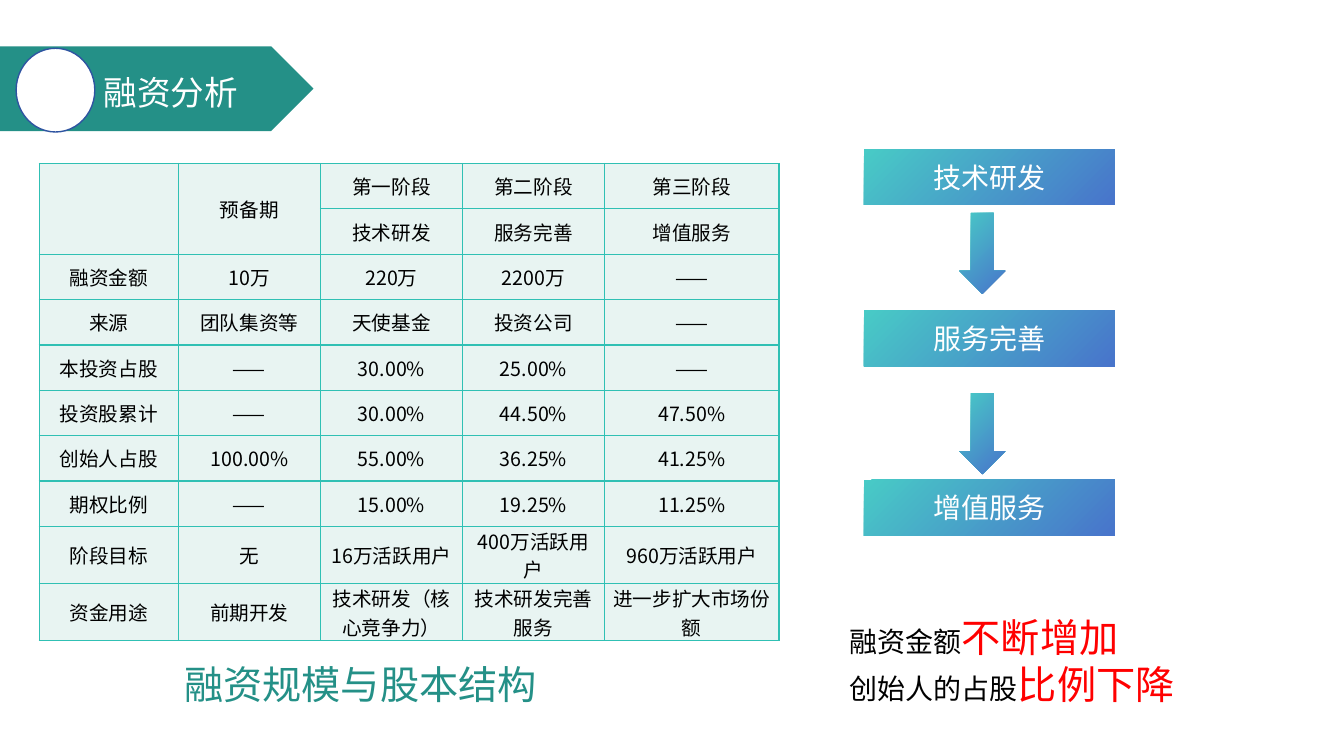
import pptx
import pptx.dml.color
import pptx.enum.shapes
import pptx.enum.text
import pptx.oxml
import pptx.oxml.ns
import pptx.util
from pptx.util import Pt

RGBColor = pptx.dml.color.RGBColor
SHAPES = pptx.enum.shapes.MSO_SHAPE
ALIGN = pptx.enum.text.PP_ALIGN
ANCHOR = pptx.enum.text.MSO_ANCHOR

FONT = "Noto Sans CJK JP"
WHITE = RGBColor(0xFF, 0xFF, 0xFF)
BLACK = RGBColor(0x00, 0x00, 0x00)
RED = RGBColor(0xFF, 0x00, 0x00)
GREEN = RGBColor(0x24, 0x90, 0x87)
PALE_GREEN = RGBColor(0xE8, 0xF4, 0xF2)
GRID_GREEN = RGBColor(0x30, 0xC0, 0xB4)
TEAL = RGBColor(0x48, 0xCB, 0xC6)
BLUE = RGBColor(0x48, 0x74, 0xCB)
NAVY = RGBColor(0x2E, 0x54, 0xA1)

TABLE_ROWS = [
    ["", "预备期", "第一阶段", "第二阶段", "第三阶段"],
    ["", "", "技术研发", "服务完善", "增值服务"],
    ["融资金额", "10万", "220万", "2200万", "——"],
    ["来源", "团队集资等", "天使基金", "投资公司", "——"],
    ["本投资占股", "——", "30.00%", "25.00%", "——"],
    ["投资股累计", "——", "30.00%", "44.50%", "47.50%"],
    ["创始人占股", "100.00%", "55.00%", "36.25%", "41.25%"],
    ["期权比例", "——", "15.00%", "19.25%", "11.25%"],
    ["阶段目标", "无", "16万活跃用户", "400万活跃用户", "960万活跃用户"],
    ["资金用途", "前期开发", "技术研发（核心竞争力）", "技术研发完善服务", "进一步扩大市场份额"],
]
COLUMN_WIDTHS = [99.4, 101.5, 101.5, 101.5, 124.6]
STAGES = [("技术研发", 0), ("服务完善", 115.2), ("增值服务", 236.2)]
ARROW_TOPS = [45.4, 174.2]
CONCLUSIONS = [("融资金额", "不断增加"), ("创始人的占股", "比例下降")]


def style_run(span, size, color):
    span.font.size = Pt(size)
    span.font.color.rgb = color
    span.font.name = FONT
    properties = span.font._element
    east_asian = properties.makeelement(pptx.oxml.ns.qn("a:ea"), {"typeface": FONT})
    properties.find(pptx.oxml.ns.qn("a:latin")).addnext(east_asian)


def style_paragraph(para, size, color, alignment):
    para.alignment = alignment
    for span in para.runs:
        style_run(span, size, color)


def add_text_box(page, box):
    frame = page.shapes.add_textbox(*map(Pt, box)).text_frame
    frame.word_wrap = True
    return frame


def add_line_of_text(page, box, text, size, color):
    frame = add_text_box(page, box)
    frame.text = text
    style_paragraph(frame.paragraphs[0], size, color, ALIGN.LEFT)


def add_plain_shape(page, kind, box, color):
    shape = page.shapes.add_shape(kind, *map(Pt, box))
    shape.shadow.inherit = False
    shape.fill.solid()
    shape.fill.fore_color.rgb = color
    shape.line.fill.background()
    return shape


def add_gradient_shape(page, kind, box):
    shape = add_plain_shape(page, kind, box, TEAL)
    shape.fill.gradient()
    shape.fill.gradient_angle = 315
    for stop, color, position in zip(shape.fill.gradient_stops, (TEAL, BLUE), (0, 1)):
        stop.color.rgb = color
        stop.position = position
    return shape


def add_title_banner(page, box):
    left, top, width, height = box
    add_plain_shape(page, SHAPES.PENTAGON, box, GREEN)
    badge = add_plain_shape(page, SHAPES.OVAL, (left + 11.5, top + 1.4, 56.2, 59.8), WHITE)
    badge.line.color.rgb = NAVY
    badge.line.width = Pt(1)
    add_line_of_text(page, (left + 67, top + 14.4, 123.1, 36), "融资分析", 24, WHITE)


def style_cell(cell):
    properties = cell._tc.get_or_add_tcPr()
    for side in ("lnL", "lnR", "lnT", "lnB"):
        properties.append(pptx.oxml.parse_xml(
            f'<a:{side} {pptx.oxml.ns.nsdecls("a")} w="{Pt(1)}">'
            f'<a:solidFill><a:srgbClr val="{GRID_GREEN}"/></a:solidFill></a:{side}>'))
    cell.fill.solid()
    cell.fill.fore_color.rgb = PALE_GREEN
    cell.margin_left = cell.margin_right = Pt(5)
    cell.margin_top = cell.margin_bottom = Pt(0)
    cell.vertical_anchor = ANCHOR.MIDDLE
    style_paragraph(cell.text_frame.paragraphs[0], 14, BLACK, ALIGN.CENTER)


def add_financing_table(page, box):
    table = page.shapes.add_table(len(TABLE_ROWS), len(COLUMN_WIDTHS), *map(Pt, box)).table
    table.first_row = table.horz_banding = False
    for column, width in zip(table.columns, COLUMN_WIDTHS):
        column.width = Pt(width)
    for row, texts in zip(table.rows, TABLE_ROWS):
        row.height = Pt(32.4)
        for cell, text in zip(row.cells, texts):
            cell.text = text
            style_cell(cell)
    table.rows[len(TABLE_ROWS) - 1].height = Pt(35.4)
    for column in (0, 1):
        table.cell(0, column).merge(table.cell(1, column))


def add_stage_flow(page, box):
    left, top, width, height = box
    for text, offset in STAGES:
        stage = add_gradient_shape(page, SHAPES.RECTANGLE, (left, top + offset, width, 39.8))
        stage.text_frame.text = text
        stage.text_frame.vertical_anchor = ANCHOR.MIDDLE
        style_paragraph(stage.text_frame.paragraphs[0], 20, WHITE, ALIGN.CENTER)
    for offset in ARROW_TOPS:
        add_gradient_shape(page, SHAPES.DOWN_ARROW, (left + 68.4, top + offset, 32.6, 57.8))


def add_conclusions(page, box):
    frame = add_text_box(page, box)
    for index, (subject, trend) in enumerate(CONCLUSIONS):
        para = frame.add_paragraph() if index else frame.paragraphs[0]
        for text, size, color in ((subject, 20, BLACK), (trend, 28, RED)):
            span = para.add_run()
            span.text = text
            style_run(span, size, color)


def main():
    deck = pptx.Presentation()
    deck.slide_width, deck.slide_height = Pt(960), Pt(540)
    page = deck.slides.add_slide(deck.slide_layouts[6])
    add_financing_table(page, (28, 116.8, 528.5, 327))
    add_line_of_text(page, (124.6, 468, 319.7, 41), "融资规模与股本结构", 28, GREEN)
    add_stage_flow(page, (617, 106.6, 179.3, 276))
    add_conclusions(page, (599.8, 434.2, 319.7, 75))
    add_title_banner(page, (0, 33.1, 223.9, 60.5))
    deck.save("out.pptx")


if __name__ == "__main__":
    main()
